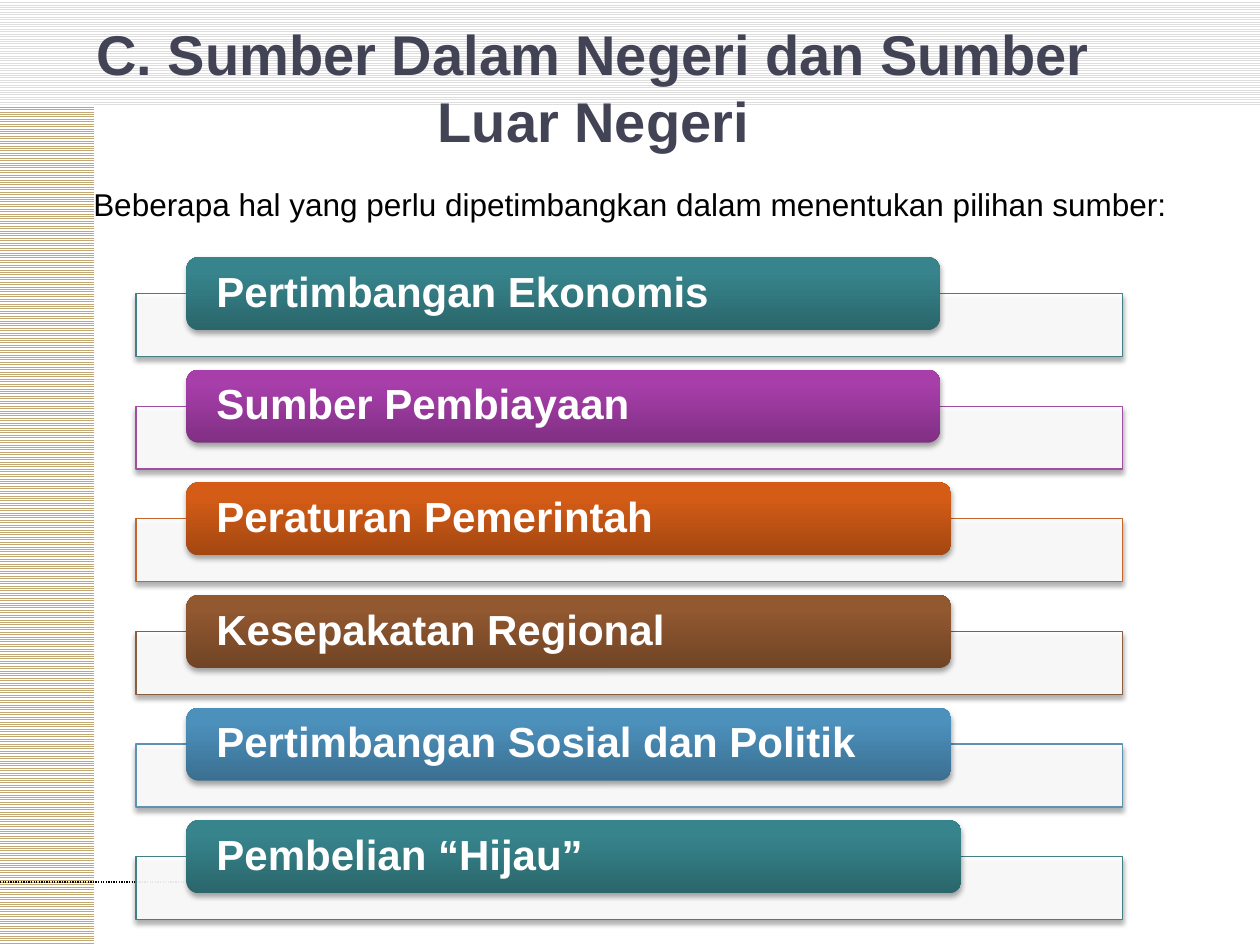
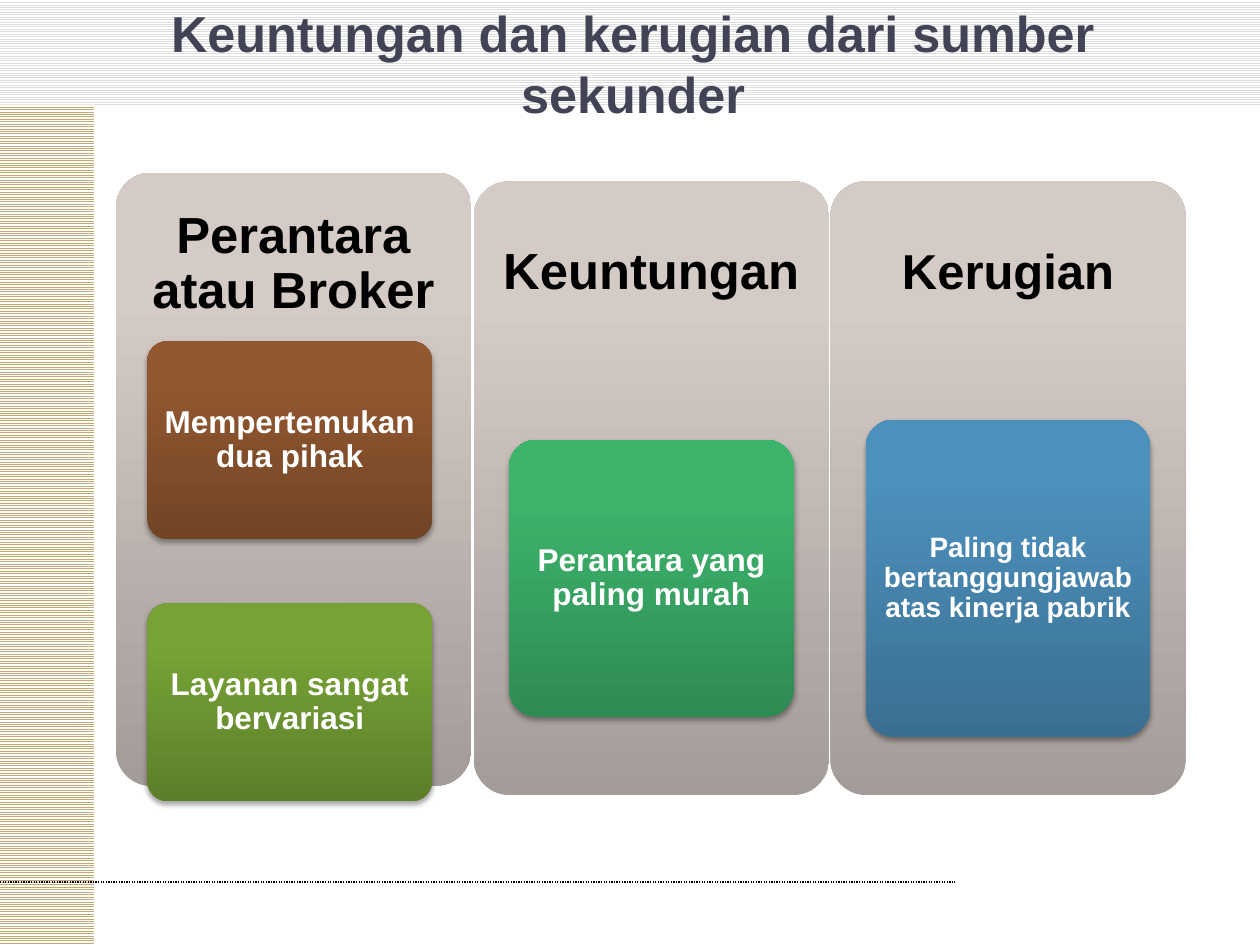
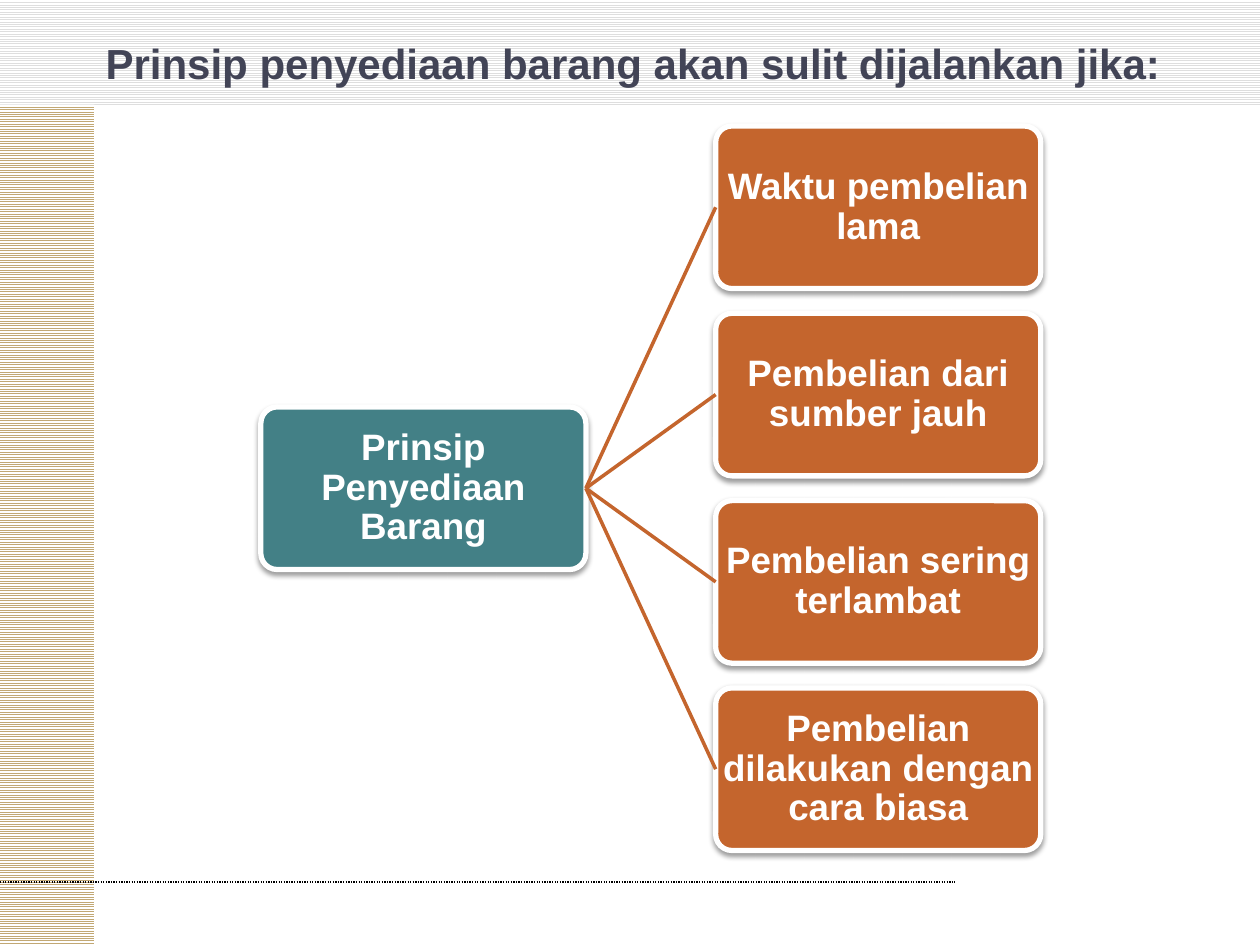
import pptx
import pptx.util
import pptx.dml.color
import pptx.enum.dml
import pptx.enum.shapes
import pptx.enum.text
import pptx.oxml.ns
import lxml.etree

Inches = pptx.util.Inches
Pt = pptx.util.Pt
qn = pptx.oxml.ns.qn
SHAPE = pptx.enum.shapes.MSO_SHAPE
ALIGN = pptx.enum.text.PP_ALIGN
ANCHOR = pptx.enum.text.MSO_ANCHOR
STRAIGHT = pptx.enum.shapes.MSO_CONNECTOR.STRAIGHT

FONT = "Arial"
TITLE_COLOUR = "424456"
TEAL, PURPLE, ORANGE, BROWN, BLUE = "438086", "A04DA3", "C4652D", "8B5D3D", "5C92B5"
# Gradients: dark foot, light top
TEAL_FADE = ("2A666B", "37848C")
PURPLE_FADE = ("803083", "A73EAA")
ORANGE_FADE = ("A34711", "D45C16")
BROWN_FADE = ("704425", "925830")
BLUE_FADE = ("3B6F91", "4C90BC")
OLIVE_FADE = ("5C7E2A", "77A336")
GREEN_FADE = ("2F8B54", "3DB46C")
STONE_FADE = ("A49C99", "D5CBC6")


def colour(hex_code):
    return pptx.dml.color.RGBColor.from_string(hex_code)


def add_block(slide, kind, place, fill, line=None, line_width=0.75, corner=None, shadow=35,
              text="", size=18, ink="FFFFFF", align=ALIGN.CENTER, insets=(0, 0, 0, 0)):
    """Add a filled shape; a pair of colours as fill gives a vertical gradient."""
    block = slide.shapes.add_shape(kind, *[Inches(n) for n in place])
    if corner is not None:
        block.adjustments[0] = corner
    if isinstance(fill, tuple):
        block.fill.gradient()
        block.fill.gradient_angle = 90
        for stop, position, shade in zip(block.fill.gradient_stops, (0, 0.8), fill):
            stop.position = position
            stop.color.rgb = colour(shade)
    else:
        block.fill.solid()
        block.fill.fore_color.rgb = colour(fill)
    if line:
        block.line.color.rgb = colour(line)
        block.line.width = Pt(line_width)
    else:
        block.line.fill.background()
    block.shadow.inherit = False
    if shadow:
        effects = block.element.spPr.find(qn("a:effectLst"))
        outer = lxml.etree.SubElement(effects, qn("a:outerShdw"), blurRad=str(Pt(3.1)),
                                      dist=str(Pt(1.8)), dir="5400000", rotWithShape="0")
        black = lxml.etree.SubElement(outer, qn("a:srgbClr"), val="000000")
        lxml.etree.SubElement(black, qn("a:alpha"), val=str(shadow * 1000))
    if text:
        frame = block.text_frame
        frame.word_wrap = True
        frame.vertical_anchor = ANCHOR.MIDDLE
        (frame.margin_left, frame.margin_top,
         frame.margin_right, frame.margin_bottom) = [Inches(n) for n in insets]
        paragraph = frame.paragraphs[0]
        paragraph.text = text
        paragraph.alignment = align
        paragraph.line_spacing = 0.9
        paragraph.font.name = FONT
        paragraph.font.size = Pt(size)
        paragraph.font.bold = True
        paragraph.font.color.rgb = colour(ink)
    return block


deck = pptx.Presentation()
deck.slide_width = Inches(10)
deck.slide_height = Inches(7.5)
title_only = deck.slide_layouts[5]

# Slides with their titles
titles = [
    ("C. Sumber Dalam Negeri dan Sumber Luar Negeri", 32, (0.5, 0.3, 8.42, 0.78)),
    ("Keuntungan dan kerugian dari sumber sekunder", 28.8, (0.5, 0.25, 9.05, 0.5)),
    ("Prinsip penyediaan barang akan sulit dijalankan jika:", 24, (0.5, 0.25, 9.05, 0.5)),
]
for text, size, place in titles:
    title = deck.slides.add_slide(title_only).shapes.title
    title.left, title.top, title.width, title.height = [Inches(n) for n in place]
    title.text_frame.text = text
    title.text_frame.word_wrap = True
    title.text_frame.auto_size = pptx.enum.text.MSO_AUTO_SIZE.NONE
    title.text_frame.vertical_anchor = ANCHOR.MIDDLE
    heading = title.text_frame.paragraphs[0]
    heading.alignment = ALIGN.CENTER
    heading.font.name = FONT
    heading.font.size = Pt(size)
    heading.font.bold = True
    heading.font.color.rgb = colour(TITLE_COLOUR)
considerations, brokers, principles = deck.slides

# Striped bands and dotted footer rule, moved to the slide master
backdrop = []
for place, stripe in [((0, 0, 10, 0.83), "DEDEDE"), ((0, 0.83, 0.75, 6.67), "C2A874")]:
    band = add_block(considerations, SHAPE.RECTANGLE, place, "FFFFFF", shadow=0)
    band.fill.patterned()
    band.fill.pattern = pptx.enum.dml.MSO_PATTERN.LIGHT_HORIZONTAL
    band.fill.fore_color.rgb = colour(stripe)
    band.fill.back_color.rgb = colour("FFFFFF")
    backdrop.append(band)
footer_rule = considerations.shapes.add_connector(
    STRAIGHT, Inches(0), Inches(7), Inches(7.58), Inches(7))
footer_rule.line.color.rgb = colour("000000")
footer_rule.line.width = Pt(0.75)
footer_rule.line.dash_style = pptx.enum.dml.MSO_LINE.ROUND_DOT
lxml.etree.SubElement(footer_rule.element.spPr, qn("a:effectLst"))
backdrop.append(footer_rule)
for layer, part in enumerate(backdrop):
    part.element.xpath(".//p:cNvPr")[0].set("id", str(101 + layer))
    title_only.slide_master.shapes.element.insert(2 + layer, part.element)

# Slide 1: considerations, each a label over an outlined bar
labels = [
    ("Pertimbangan Ekonomis", 5.98, TEAL, TEAL_FADE),
    ("Sumber Pembiayaan", 5.98, PURPLE, PURPLE_FADE),
    ("Peraturan Pemerintah", 6.07, ORANGE, ORANGE_FADE),
    ("Kesepakatan Regional", 6.07, BROWN, BROWN_FADE),
    ("Pertimbangan Sosial dan Politik", 6.07, BLUE, BLUE_FADE),
    ("Pembelian “Hijau”", 6.15, TEAL, TEAL_FADE),
]
label_step = 4.47 / 5
for row, (text, width, outline, fade) in enumerate(labels):
    top = 2.04 + row * label_step
    bar = add_block(considerations, SHAPE.RECTANGLE, (1.08, top + 0.29, 7.83, 0.5),
                    "FFFFFF", line=outline)
    bar_white = bar.element.spPr.find(qn("a:solidFill")).find(qn("a:srgbClr"))
    lxml.etree.SubElement(bar_white, qn("a:alpha"), val="90000")
    add_block(considerations, SHAPE.ROUNDED_RECTANGLE, (1.48, top, width, 0.58), fade,
              text=text, size=24, align=ALIGN.LEFT, insets=(0.21, 0, 0.21, 0))

intro = considerations.shapes.add_textbox(Inches(0.5), Inches(1.42), Inches(9), Inches(0.58))
intro.text_frame.word_wrap = True
intro_line = intro.text_frame.paragraphs[0]
intro_line.text = "Beberapa hal yang perlu dipetimbangkan dalam menentukan pilihan sumber:"
intro_line.alignment = ALIGN.CENTER
intro_line.font.name = FONT
intro_line.font.size = Pt(18)
intro_line.font.color.rgb = colour("000000")

# Slide 2: three columns, each with its cards (text, size, left, top, height, gradient)
columns = [
    ("Perantara atau Broker", 29, 0.92, 1.37, [
        ("Mempertemukan dua pihak", 18, 1.17, 2.71, 1.57, BROWN_FADE),
        ("Layanan sangat bervariasi", 18, 1.17, 4.79, 1.57, OLIVE_FADE)]),
    ("Keuntungan", 29, 3.76, 1.44, [
        ("Perantara yang paling murah", 18, 4.04, 3.49, 2.2, GREEN_FADE)]),
    ("Kerugian", 28, 6.59, 1.44, [
        ("Paling tidak bertanggungjawab atas kinerja pabrik", 16, 6.87, 3.33, 2.52, BLUE_FADE)]),
]
for header, header_size, left, top, cards in columns:
    add_block(brokers, SHAPE.ROUNDED_RECTANGLE, (left, top, 2.82, 4.87), STONE_FADE,
              corner=0.1, shadow=0, text=header, size=header_size, ink="000000",
              insets=(0.04, 0.04, 0.04, 3.45))
    for text, size, card_left, card_top, height, fade in cards:
        add_block(brokers, SHAPE.ROUNDED_RECTANGLE, (card_left, card_top, 2.26, height), fade,
                  corner=0.1, text=text, size=size, insets=(0.04, 0.04, 0.04, 0.04))

# Slide 3: principle on the left, joined to its four obstacles
node_style = dict(line="FFFFFF", line_width=3, corner=0.1, shadow=38, size=21,
                  insets=(0.01, 0.01, 0.01, 0.01))
principle = add_block(principles, SHAPE.ROUNDED_RECTANGLE, (2.07, 3.23, 2.58, 1.29), TEAL,
                      text="Prinsip Penyediaan Barang", **node_style)
obstacles = ["Waktu pembelian lama", "Pembelian dari sumber jauh",
             "Pembelian sering terlambat", "Pembelian dilakukan dengan cara biasa"]
obstacle_step = 4.46 / 3
for row, text in enumerate(obstacles):
    obstacle = add_block(principles, SHAPE.ROUNDED_RECTANGLE,
                         (5.68, 1 + row * obstacle_step, 2.58, 1.29), ORANGE,
                         text=text, **node_style)
    branch = principles.shapes.add_connector(STRAIGHT, 0, 0, 0, 0)
    branch.begin_connect(principle, 3)
    branch.end_connect(obstacle, 1)
    branch.line.color.rgb = colour(ORANGE)
    branch.line.width = Pt(2)
    lxml.etree.SubElement(branch.element.spPr, qn("a:effectLst"))

deck.save("out.pptx")
